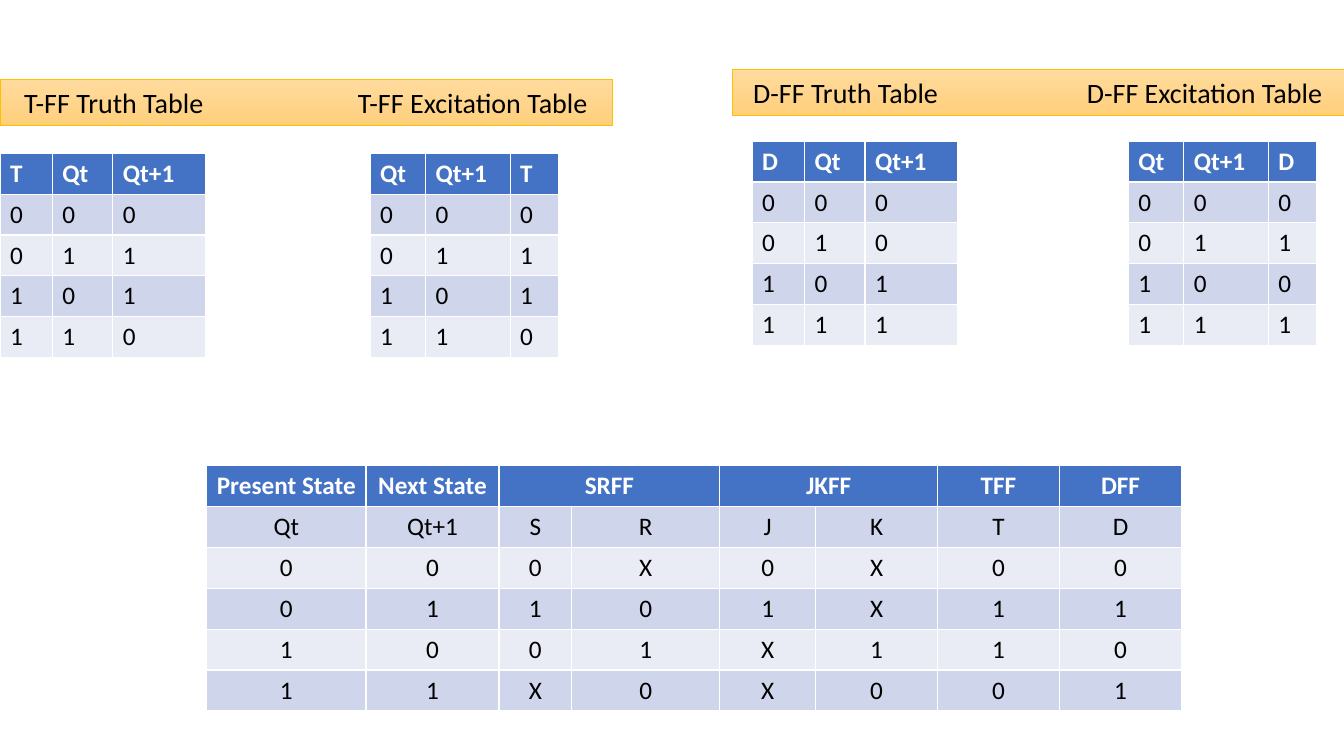
from dataclasses import dataclass

from lxml.etree import SubElement
from pptx import Presentation
from pptx.dml.color import RGBColor
from pptx.enum.shapes import MSO_SHAPE
from pptx.enum.text import MSO_ANCHOR, PP_ALIGN
from pptx.oxml.ns import qn
from pptx.slide import Slide
from pptx.text.text import TextFrame
from pptx.util import Inches, Pt

BLACK, WHITE = "000000", "FFFFFF"
HEADER_FILL = "4472C4"
BAND_FILLS = ("CFD5EA", "E9EBF5")
BANNER_FILLS = ("FFDB9E", "FFD07C")
BANNER_LINE = "FFC000"
ROW_HEIGHT = 0.405
TRUTH_WIDTHS = (0.52, 0.6, 0.92)
EXCITATION_WIDTHS = (0.55, 0.84, 0.48)
SUMMARY_WIDTHS = (1.58, 1.32, 0.72, 1.47, 0.95, 1.21, 1.21, 1.21)


@dataclass
class Banner:
    left: float
    top: float
    inset: float
    text: str


@dataclass
class StateTable:
    left: float
    top: float
    widths: tuple[float, ...]
    header: tuple[str, ...]
    rows: tuple[str, ...]
    align: PP_ALIGN = PP_ALIGN.LEFT
    merges: tuple[tuple[int, int], ...] = ()


BANNERS = (
    Banner(0, 0.79, 0.24, "T-FF Truth Table\tT-FF Excitation Table"),
    Banner(7.26, 0.69, 0.21, "D-FF Truth Table\tD-FF Excitation Table"),
)

TABLES = (
    StateTable(0, 1.52, TRUTH_WIDTHS, ("T", "Qt", "Qt+1"),
               ("0 0 0", "0 1 1", "1 0 1", "1 1 0")),
    StateTable(3.67, 1.52, EXCITATION_WIDTHS, ("Qt", "Qt+1", "T"),
               ("0 0 0", "0 1 1", "1 0 1", "1 1 0")),
    StateTable(7.46, 1.4, TRUTH_WIDTHS, ("D", "Qt", "Qt+1"),
               ("0 0 0", "0 1 0", "1 0 1", "1 1 1")),
    StateTable(11.19, 1.4, EXCITATION_WIDTHS, ("Qt", "Qt+1", "D"),
               ("0 0 0", "0 1 1", "1 0 0", "1 1 1")),
    StateTable(2.05, 4.62, SUMMARY_WIDTHS,
               ("Present State", "Next State", "SRFF", "", "JKFF", "", "TFF", "DFF"),
               ("Qt Qt+1 S R J K T D",
                "0 0 0 X 0 X 0 0",
                "0 1 1 0 1 X 1 1",
                "1 0 0 1 X 1 1 0",
                "1 1 X 0 X 0 0 1"),
               PP_ALIGN.CENTER, ((2, 3), (4, 5))),
)


def rgb(value: str) -> RGBColor:
    return RGBColor.from_string(value)


def write_text(frame: TextFrame, text: str, *, size: float = 18, color: str = BLACK,
               bold: bool = False, align: PP_ALIGN = PP_ALIGN.LEFT) -> None:
    paragraph = frame.paragraphs[0]
    paragraph.alignment = align
    run = paragraph.add_run()
    run.text = text
    run.font.name = "Calibri"
    run.font.size = Pt(size)
    run.font.bold = bold
    run.font.color.rgb = rgb(color)


def add_banner(slide: Slide, banner: Banner) -> None:
    shape = slide.shapes.add_shape(MSO_SHAPE.RECTANGLE, Inches(banner.left),
                                   Inches(banner.top), Inches(6.07), Inches(0.45))
    shape.shadow.inherit = False
    shape.fill.gradient()
    shape.fill.gradient_angle = 270
    for stop, color in zip(shape.fill.gradient_stops, BANNER_FILLS):
        stop.color.rgb = rgb(color)
    shape.line.color.rgb = rgb(BANNER_LINE)
    shape.line.width = Pt(0.5)

    frame = shape.text_frame
    frame.word_wrap = True
    frame.vertical_anchor = MSO_ANCHOR.MIDDLE
    frame.margin_left = Inches(banner.inset)
    properties = frame.paragraphs[0]._p.get_or_add_pPr()
    tabs = SubElement(properties, qn("a:tabLst"))
    SubElement(tabs, qn("a:tab"), pos=str(Inches(3.31)), algn="l")
    write_text(frame, banner.text, size=20)


def add_state_table(slide: Slide, state: StateTable) -> None:
    rows = [state.header, *(row.split() for row in state.rows)]
    table = slide.shapes.add_table(
        len(rows), len(state.widths), Inches(state.left), Inches(state.top),
        Inches(sum(state.widths)), Inches(ROW_HEIGHT * len(rows))).table
    for column, width in zip(table.columns, state.widths):
        column.width = Inches(width)
    for first, last in state.merges:
        table.cell(0, first).merge(table.cell(0, last))
    for row_index, values in enumerate(rows):
        is_header = row_index == 0
        fill = HEADER_FILL if is_header else BAND_FILLS[(row_index - 1) % 2]
        for column_index, value in enumerate(values):
            cell = table.cell(row_index, column_index)
            cell.fill.solid()
            cell.fill.fore_color.rgb = rgb(fill)
            if value:
                write_text(cell.text_frame, value, bold=is_header, align=state.align,
                           color=WHITE if is_header else BLACK)


def main() -> None:
    presentation = Presentation()
    presentation.slide_width = Inches(13.33)
    presentation.slide_height = Inches(7.5)
    slide = presentation.slides.add_slide(presentation.slide_layouts[6])
    for state in TABLES:
        add_state_table(slide, state)
    for banner in BANNERS:
        add_banner(slide, banner)
    presentation.save("out.pptx")


if __name__ == "__main__":
    main()
